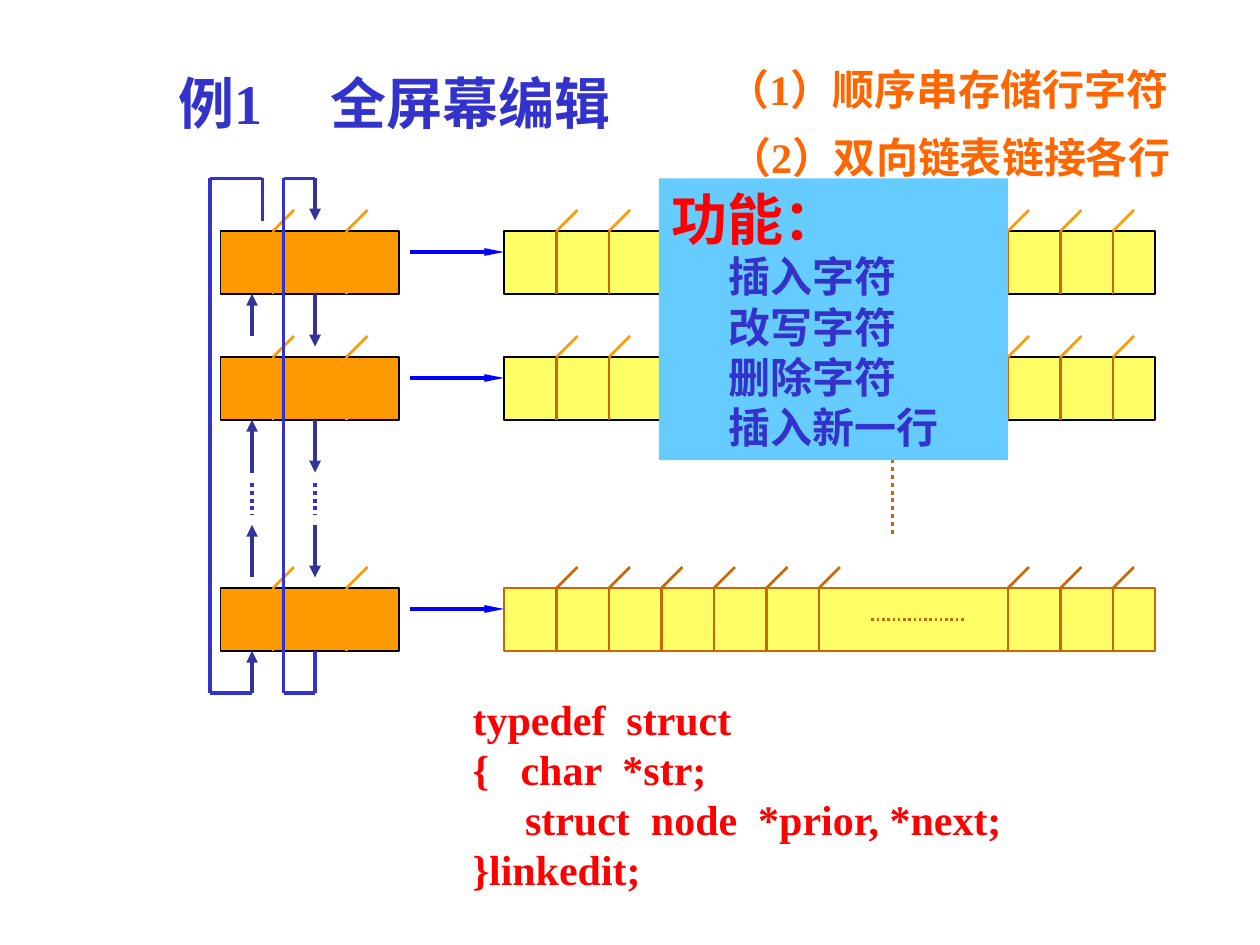
from itertools import pairwise

from lxml import etree
from pptx import Presentation
from pptx.dml.color import RGBColor
from pptx.enum.dml import MSO_LINE
from pptx.enum.shapes import MSO_CONNECTOR, MSO_SHAPE
from pptx.enum.text import MSO_ANCHOR, PP_ALIGN
from pptx.oxml.ns import qn
from pptx.util import Pt

COLORS = {
    "title": "3333CC", "note": "FF6600", "red": "FF0000", "black": "000000",
    "text_fill": "FFFF66", "node_fill": "FF9900", "panel_fill": "66CCFF",
    "divider": "CC6600", "link": "333399", "ring": "3333CC", "pointer": "0000FF",
}
FONT = "Times New Roman"
ROW_HEIGHT = 36
SLANT = 12
ROW_TOPS = [132, 204, 336]
LEADING = [318, 348]
MIDDLE = [378, 408, 438, 468]
TRAILING = [576, 606, 636]


def rgb(name):
    return RGBColor.from_string(COLORS[name])


def draw_line(slide, start, end, color, width=2.25, dotted=False, head=None):
    """Straight line; head is (width, length) of the arrowhead at the end."""
    line = slide.shapes.add_connector(
        MSO_CONNECTOR.STRAIGHT, *(Pt(v) for v in (*start, *end)))
    line.line.color.rgb = rgb(color)
    line.line.width = Pt(width)
    if dotted:
        line.line.dash_style = MSO_LINE.ROUND_DOT
    if head:
        etree.SubElement(line.line._get_or_add_ln(), qn("a:tailEnd"),
                         type="triangle", w=head[0], len=head[1])
    etree.SubElement(line._element.spPr, qn("a:effectLst"))


def draw_rect(slide, box, fill, border=None):
    rect = slide.shapes.add_shape(MSO_SHAPE.RECTANGLE, *(Pt(v) for v in box))
    rect.shadow.inherit = False
    rect.fill.solid()
    rect.fill.fore_color.rgb = rgb(fill)
    if border:
        rect.line.color.rgb = rgb(border)
        rect.line.width = Pt(0.75)
    else:
        rect.line.fill.background()
    return rect


def prepare_frame(shape):
    frame = shape.text_frame
    frame.word_wrap = True
    frame.vertical_anchor = MSO_ANCHOR.TOP
    frame.margin_right = 0
    return frame


def write_lines(frame, lines):
    """Each line is (text, size, color, indent)."""
    for index, (text, size, color, indent) in enumerate(lines):
        paragraph = frame.add_paragraph() if index else frame.paragraphs[0]
        paragraph.alignment = PP_ALIGN.LEFT
        paragraph.line_spacing = Pt(round(size * 1.19, 1))
        if indent:
            paragraph._p.get_or_add_pPr().set("marL", str(Pt(indent)))
        run = paragraph.add_run()
        run.text = text
        run.font.name = FONT
        run.font.size = Pt(size)
        run.font.bold = True
        run.font.color.rgb = rgb(color)
    return frame


def draw_text(slide, box, lines):
    label = slide.shapes.add_textbox(*(Pt(v) for v in box))
    return write_lines(prepare_frame(label), lines)


def draw_title(slide, box):
    frame = draw_text(slide, box, [("例1\t全屏幕编辑", 32, "title", 0)])
    props = frame.paragraphs[0]._p.get_or_add_pPr()
    stops = etree.SubElement(props, qn("a:tabLst"))
    etree.SubElement(stops, qn("a:tab"), pos=str(Pt(87)), algn="l")


def draw_cells(slide, box, dividers, fill, border, divider, slash):
    """Bar divided by upright lines, each with a slash above it."""
    draw_rect(slide, box, fill, border)
    top, bottom = box[1], box[1] + box[3]
    for x in dividers:
        draw_line(slide, (x, top), (x, bottom), divider, 1.5)
        draw_line(slide, (x, top), (x + SLANT, top - SLANT), slash, 1.5)


def draw_text_rows(slide, left, width):
    for top in ROW_TOPS:
        last = top == ROW_TOPS[-1]
        draw_cells(slide, (left, top, width, ROW_HEIGHT),
                   LEADING + (MIDDLE if last else []) + TRAILING, "text_fill",
                   "divider" if last else "black", "divider",
                   "divider" if last else "node_fill")
    # Omitted characters and omitted rows
    middle = ROW_TOPS[-1] + ROW_HEIGHT / 2
    draw_line(slide, (left + 210, middle), (left + 264, middle), "divider", 1.5, True)
    draw_line(slide, (left + 222, 258), (left + 222, 306), "divider", dotted=True)


def draw_nodes(slide, left, width):
    for top in ROW_TOPS:
        draw_cells(slide, (left, top, width, ROW_HEIGHT), [left + 30, left + 72],
                   "node_fill", "black", "node_fill", "node_fill")


def draw_links(slide, left, top, height):
    """Prior and next links, closed into two rings."""
    prior, following = left + 24, left + 60
    bottom = top + height
    head = ("med", "med")
    for start, end in [(168, 198), (240, 270), (300, 330), (top, 126)]:
        draw_line(slide, (following, start), (following, end), "link", head=head)
    for start, end in [(bottom, 372), (270, 240), (192, 168), (330, 300)]:
        draw_line(slide, (prior, start), (prior, end), "link", head=head)
    for x in (prior, following):
        draw_line(slide, (x, 276), (x, 294), "ring", dotted=True)
    prior_ring = [(left + 30, 126), (left + 30, top), (left, top),
                  (left, bottom), (prior, bottom)]
    next_ring = [(following, 372), (following, bottom), (left + 42, bottom),
                 (left + 42, top), (following, top)]
    for ring in (prior_ring, next_ring):
        for start, end in pairwise(ring):
            draw_line(slide, start, end, "ring")


def draw_pointers(slide, left, right):
    for top in ROW_TOPS:
        draw_line(slide, (left, top + 12), (right, top + 12), "pointer",
                  head=("sm", "lg"))


def draw_functions(slide, box):
    panel = draw_rect(slide, box, "panel_fill")
    functions = ["插入字符", "改写字符", "删除字符", "插入新一行"]
    write_lines(prepare_frame(panel), [("功能：", 32, "red", 0)]
                + [(name, 24, "title", 33) for name in functions])


def main():
    deck = Presentation()
    deck.slide_width, deck.slide_height = Pt(720), Pt(540)
    slide = deck.slides.add_slide(deck.slide_layouts[6])

    # Headings
    draw_title(slide, (95, 36, 262, 46))
    draw_text(slide, (408.5, 33, 278, 36), [("（1）顺序串存储行字符", 24, "note", 0)])
    draw_text(slide, (409.5, 72, 278, 36), [("（2）双向链表链接各行", 24, "note", 0)])

    # Linked list of text rows
    draw_text_rows(slide, 288, 372)
    draw_nodes(slide, 126, 102)
    draw_links(slide, 120, 102, 294)
    draw_pointers(slide, 234, 288)

    # Node declaration
    code = ["typedef  struct", "{   char  *str;",
            "     struct  node  *prior, *next;", "}linkedit;"]
    draw_text(slide, (263, 393, 319, 122), [(line, 24, "red", 0) for line in code])

    # Editor functions
    draw_functions(slide, (376.5, 102, 199.5, 161))
    deck.save("out.pptx")


if __name__ == "__main__":
    main()
